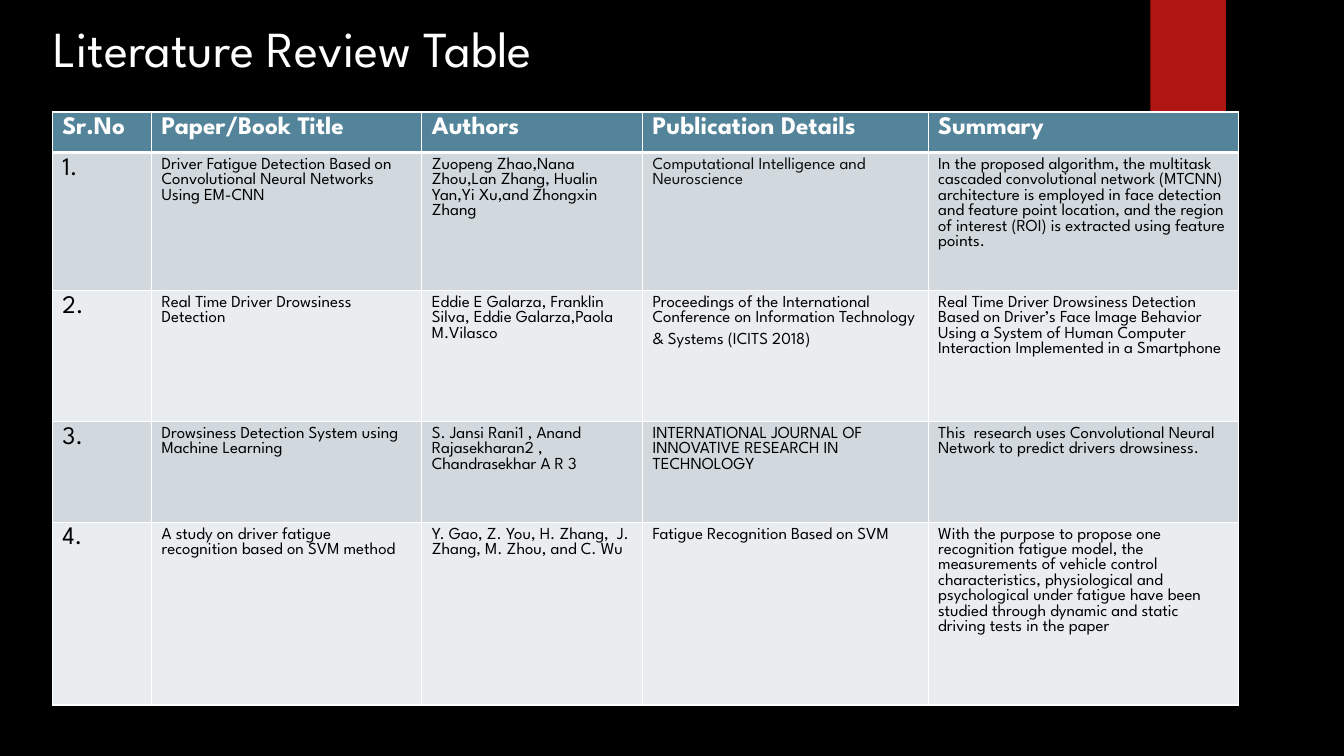
from lxml import etree
from pptx import Presentation
from pptx.dml.color import RGBColor
from pptx.enum.shapes import MSO_SHAPE
from pptx.enum.text import MSO_ANCHOR
from pptx.oxml.ns import qn
from pptx.util import Pt

RECT = MSO_SHAPE.RECTANGLE
BOTTOM = MSO_ANCHOR.BOTTOM
FONT = "League Spartan"
COLORS = {
    "black": "000000", "white": "FFFFFF", "red": "B01513", "header": "54849A",
    "odd": "D1D9DE", "even": "E9EDEF", "ink": "0D0D0D",
}


def style(p, size, color, bold=False):
    p.font.name = FONT
    p.font.size = Pt(size)
    p.font.bold = bold
    p.font.color.rgb = RGBColor.from_string(COLORS[color])


def border(cell, bottom_width):
    tcPr = cell._tc.get_or_add_tcPr()
    widths = {"a:lnL": 1, "a:lnR": 1, "a:lnT": 1, "a:lnB": bottom_width}
    for i, (tag, width) in enumerate(widths.items()):
        ln = etree.Element(qn(tag), w=str(Pt(width)))
        fill = etree.SubElement(ln, qn("a:solidFill"))
        etree.SubElement(fill, qn("a:srgbClr"), val=COLORS["white"])
        tcPr.insert(i, ln)


prs = Presentation()
prs.slide_width, prs.slide_height = Pt(960), Pt(540)
s = prs.slides.add_slide(prs.slide_layouts[6])
s.background.fill.solid()
s.background.fill.fore_color.rgb = RGBColor.from_string(COLORS["black"])

sp = s.shapes.add_shape(RECT, Pt(821.7), Pt(0), Pt(54), Pt(90))
sp.shadow.inherit = False
sp.fill.solid()
sp.fill.fore_color.rgb = RGBColor.from_string(COLORS["red"])
sp.line.fill.background()

tf = s.shapes.add_textbox(Pt(31), Pt(8), Pt(423), Pt(51)).text_frame
tf.word_wrap = False
tf.vertical_anchor = BOTTOM
p = tf.paragraphs[0]
p.text = "Literature Review Table"
style(p, 36, "white")

rows = [
    ["Sr.No", "Paper/Book Title", "Authors", "Publication Details", "Summary"],
    ["1.", "Driver Fatigue Detection Based on Convolutional Neural Networks Using EM-CNN",
     "Zuopeng Zhao,Nana Zhou,Lan Zhang, Hualin Yan,Yi Xu,and Zhongxin Zhang",
     "Computational Intelligence and Neuroscience",
     "In the proposed algorithm, the multitask cascaded convolutional network (MTCNN) "
     "architecture is employed in face detection and feature point location, and the region "
     "of interest (ROI) is extracted using feature points."],
    ["2.", "Real Time Driver Drowsiness Detection",
     "Eddie E Galarza, Franklin Silva, Eddie Galarza,Paola M.Vilasco",
     "Proceedings of the International Conference on Information Technology "
     "& Systems (ICITS 2018)",
     "Real Time Driver Drowsiness Detection Based on Driver’s Face Image Behavior Using a "
     "System of Human Computer Interaction Implemented in a Smartphone"],
    ["3.", "Drowsiness Detection System using Machine Learning",
     "S. Jansi Rani1 , Anand Rajasekharan2 , Chandrasekhar A R 3",
     "INTERNATIONAL JOURNAL OF INNOVATIVE RESEARCH IN TECHNOLOGY",
     "This  research uses Convolutional Neural Network to predict drivers drowsiness."],
    ["4.", "A study on driver fatigue recognition based on SVM method",
     "Y. Gao, Z. You, H. Zhang,  J. Zhang, M. Zhou, and C. Wu",
     "Fatigue Recognition Based on SVM",
     "With the purpose to propose one recognition fatigue model, the measurements of vehicle "
     "control characteristics, physiological and psychological under fatigue have been "
     "studied through dynamic and static driving tests in the paper"],
]
col_widths = [71, 193, 157.7, 204, 221.5]
row_heights = [29, 98.5, 93.6, 72, 130.5]

table = s.shapes.add_table(len(rows), len(col_widths), Pt(37.3), Pt(80),
                           Pt(sum(col_widths)), Pt(sum(row_heights))).table
for column, width in zip(table.columns, col_widths):
    column.width = Pt(width)
for row, height in zip(table.rows, row_heights):
    row.height = Pt(height)

for i, texts in enumerate(rows):
    fill = "header" if i == 0 else "odd" if i % 2 else "even"
    for j, text in enumerate(texts):
        cell = table.cell(i, j)
        cell.fill.solid()
        cell.fill.fore_color.rgb = RGBColor.from_string(COLORS[fill])
        border(cell, 3 if i == 0 else 1)
        p = cell.text_frame.paragraphs[0]
        p.text = text
        color = "white" if i == 0 else "ink" if (i, j) == (1, 3) else "black"
        style(p, 18 if i == 0 or j == 0 else 12, color, i == 0)

r = table.cell(2, 3).text_frame.paragraphs[0].add_run()
r.text = " "
r.font.size = Pt(18)

prs.save("out.pptx")
